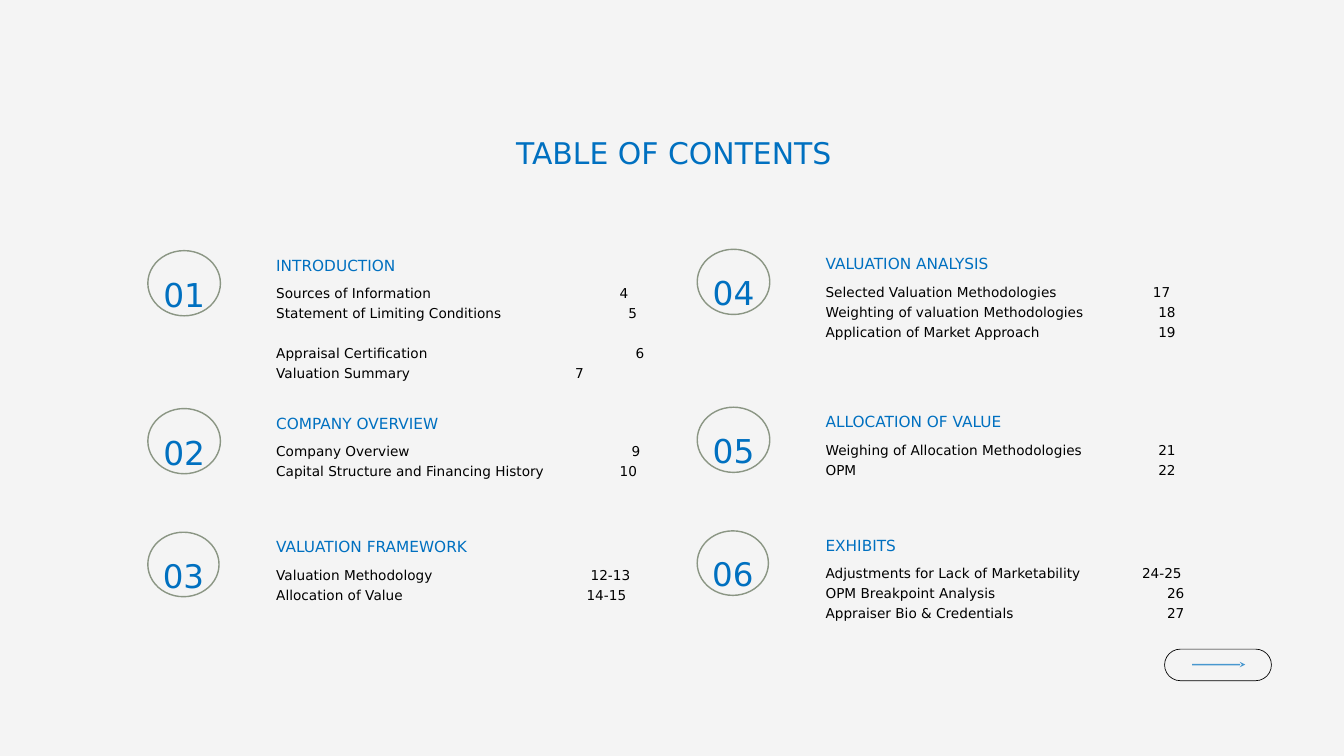
from lxml.etree import SubElement
from pptx import Presentation
from pptx.dml.color import RGBColor
from pptx.enum.shapes import MSO_CONNECTOR, MSO_SHAPE
from pptx.enum.text import MSO_ANCHOR, MSO_AUTO_SIZE, PP_ALIGN
from pptx.oxml.ns import qn
from pptx.util import Emu, Inches, Pt

BLUE = RGBColor(0x00, 0x70, 0xC0)
BLACK = RGBColor(0x00, 0x00, 0x00)
SAGE = RGBColor(0x8B, 0x96, 0x84)
PAPER = RGBColor(0xF4, 0xF4, 0xF4)
FONT = "DejaVu Sans"

WIDTH, HEIGHT = Inches(20), Inches(11.25)
COLUMNS, ROWS = 200, 112.5

LEFTS = [22, 103.75]
LIFTS = [0, 0.2]
TOPS = [37.3, 60.8, 79.2]
LINE_GAP = 21.4

SECTIONS = [
    ("INTRODUCTION", [("Sources of Information", "4", 52.4),
                      ("Statement of Limiting Conditions", "5", 53.7),
                      ("Appraisal Certification", "6", 54.8),
                      ("Valuation Summary", "7", 45.8)]),
    ("COMPANY OVERVIEW", [("Company Overview", "9", 54.2),
                          ("Capital Structure and Financing History", "10", 53.7)]),
    ("VALUATION FRAMEWORK", [("Valuation Methodology", "12-13", 52.7),
                             ("Allocation of Value", "14-15", 52.1)]),
    ("VALUATION ANALYSIS", [("Selected Valuation Methodologies", "17", 51.3),
                            ("Weighting of valuation Methodologies", "18", 52.1),
                            ("Application of Market Approach", "19", 52.1)]),
    ("ALLOCATION OF VALUE", [("Weighing of Allocation Methodologies", "21", 52.1),
                             ("OPM", "22", 52.1)]),
    ("EXHIBITS", [("Adjustments for Lack of Marketability", "24-25", 53),
                  ("OPM Breakpoint Analysis", "26", 53.4),
                  ("Appraiser Bio & Credentials", "27", 53.4)]),
]


def col(n):
    return Emu(int(WIDTH * n / COLUMNS))


def row(n):
    return Emu(int(HEIGHT * n / ROWS))


def box(x, y, w, h):
    return col(x), row(y), col(w), row(h)


def set_frame(sp):
    tf = sp.text_frame
    tf.margin_left = tf.margin_right = tf.margin_top = tf.margin_bottom = 0
    tf.auto_size = MSO_AUTO_SIZE.NONE
    tf.word_wrap = True
    tf.vertical_anchor = MSO_ANCHOR.TOP
    return tf


def write(p, text, size=14.6, color=BLACK, align=PP_ALIGN.LEFT, spacing=1.22, before=0):
    p.alignment = align
    p.line_spacing = spacing
    p.space_before = Pt(before)
    r = p.add_run()
    r.text = text
    r.font.size = Pt(size)
    r.font.name = FONT
    r.font.color.rgb = color


def add_text(s, place, text, **fmt):
    tf = set_frame(s.shapes.add_textbox(*place))
    write(tf.paragraphs[0], text, **fmt)


def add_title(s, text):
    sp = s.shapes.title
    sp.left, sp.top, sp.width, sp.height = box(55.4, 15.3, 89.8, 10.2)
    write(set_frame(sp).paragraphs[0], text, size=32, color=BLUE,
          align=PP_ALIGN.CENTER, spacing=1.9)


def add_outline(s, kind, place, color, weight):
    sp = s.shapes.add_shape(kind, *place)
    sp.shadow.inherit = False
    sp.fill.background()
    sp.line.color.rgb = color
    sp.line.width = Pt(weight)
    return sp


def add_entries(s, place, entries):
    tf = set_frame(s.shapes.add_textbox(*place))
    for i, (topic, page, end) in enumerate(entries):
        p = tf.paragraphs[0] if i == 0 else tf.add_paragraph()
        tabs = SubElement(p._p.get_or_add_pPr(), qn("a:tabLst"))
        SubElement(tabs, qn("a:tab"), pos=str(col(end)), algn="r")
        before = LINE_GAP if topic == "Appraisal Certification" else 0
        write(p, f"{topic}\t{page}", before=before)


def add_section(s, index, heading, entries):
    side, level = divmod(index, len(TOPS))
    x, y = LEFTS[side], TOPS[level] - LIFTS[side]
    last = level == len(TOPS) - 1
    w, h, size = (10.6, 9.6, 34.8) if last else (10.8, 9.7, 35.2)
    add_outline(s, MSO_SHAPE.OVAL, box(x, y, w, h), SAGE, 1.5)
    add_text(s, box(x, y + 1.2, w, 8.3), f"{index + 1:02}", size=size, color=BLUE,
             align=PP_ALIGN.CENTER, spacing=1.4)
    add_text(s, box(x + 19.1, y + 0.2, 55.7, 3.4), heading, size=16.4, color=BLUE)
    add_entries(s, box(x + 19.1, y + 4.6, 58.9, 3 * len(entries)), entries)


def add_arrow(s, x1, x2, y):
    c = s.shapes.add_connector(MSO_CONNECTOR.STRAIGHT, col(x1), row(y), col(x2), row(y))
    c.line.color.rgb = BLUE
    c.line.width = Pt(1.5)
    ln = c.line._get_or_add_ln()
    SubElement(ln.find(".//" + qn("a:srgbClr")), qn("a:alpha"), val="70000")
    SubElement(ln, qn("a:tailEnd"), type="stealth")
    SubElement(c._element.spPr, qn("a:effectLst"))


def add_next_button(s):
    pill = add_outline(s, MSO_SHAPE.ROUNDED_RECTANGLE, box(173.3, 96.6, 15.9, 4.7),
                       BLACK, 0.75)
    pill.adjustments[0] = 0.5
    add_arrow(s, 177.4, 185.3, 98.9)


def main():
    prs = Presentation()
    prs.slide_width, prs.slide_height = WIDTH, HEIGHT
    s = prs.slides.add_slide(prs.slide_layouts[5])
    s.background.fill.solid()
    s.background.fill.fore_color.rgb = PAPER
    add_title(s, "TABLE OF CONTENTS")
    for index, (heading, entries) in enumerate(SECTIONS):
        add_section(s, index, heading, entries)
    add_next_button(s)
    prs.save("out.pptx")


if __name__ == "__main__":
    main()
